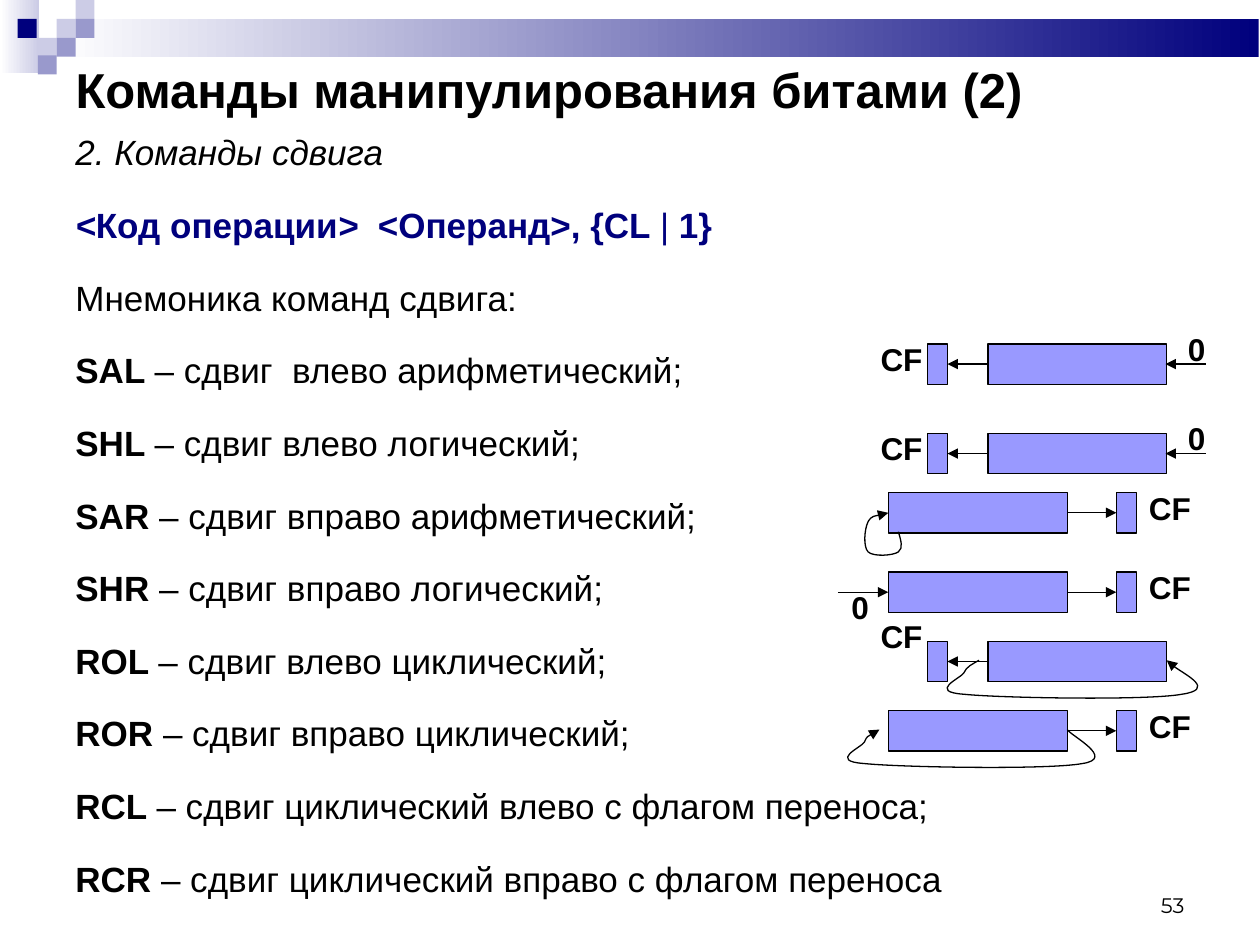
import pptx
import pptx.util
import pptx.dml.color
import pptx.enum.shapes
import pptx.enum.text
import pptx.oxml
from pptx.oxml.ns import qn

PX = 9144  # one px is a hundredth of an inch
BLACK, NAVY, PALE, MID, BLUE = "000000", "00007D", "CCCCE6", "9999CC", "9999FF"
TEXT = pptx.enum.text
RECT = pptx.enum.shapes.MSO_SHAPE.RECTANGLE
STRAIGHT = pptx.enum.shapes.MSO_CONNECTOR.STRAIGHT

COMMANDS = [
    ("SAL", "сдвиг  влево арифметический;"),
    ("SHL", "сдвиг влево логический;"),
    ("SAR", "сдвиг вправо арифметический;"),
    ("SHR", "сдвиг вправо логический;"),
    ("ROL", "сдвиг влево циклический;"),
    ("ROR", "сдвиг вправо циклический;"),
    ("RCL", "сдвиг циклический влево с флагом переноса;"),
    ("RCR", "сдвиг циклический вправо с флагом переноса"),
]
# Bézier points relative to the top left corner of a register
CYCLE = [(-7, 15), (-12, 18), (-17, 20), (-19, 25), (-21, 29), (-48, 40),
         (-19, 42), (10, 45), (127, 47), (154, 42), (181, 38), (145, 20),
         (142, 15)]
SIGN = [(8, 31), (10, 38), (12, 44), (8, 47), (4, 50), (-12, 51), (-16, 47),
        (-20, 43), (-19, 29), (-16, 23), (-13, 18), (-3, 17), (0, 16)]


def emu(*vals):
    return [v * PX for v in vals]


def rgb(code):
    return pptx.dml.color.RGBColor.from_string(code)


def style(run, size, color=BLACK, bold=False, italic=False, face="Arial"):
    font = run.font
    font.name, font.size = face, pptx.util.Pt(size)
    font.bold, font.italic = bold, italic
    font.color.rgb = rgb(color)


def rect(slide, box, fill, edge=False):
    shape = slide.shapes.add_shape(RECT, *emu(*box))
    shape.shadow.inherit = False
    shape.fill.solid()
    shape.fill.fore_color.rgb = rgb(fill)
    if edge:
        shape.line.color.rgb = rgb(BLACK)
        shape.line.width = pptx.util.Pt(0.75)
    else:
        shape.line.fill.background()
    return shape


def fade(slide, box, color):
    """Draw a bar that fades to white on its left."""
    fill = rect(slide, box, color).fill
    fill.gradient()
    fill.gradient_angle = 180
    for stop, code, pos in zip(fill.gradient_stops, (color, "FFFFFF"), (0, 1)):
        stop.color.rgb = rgb(code)
        stop.position = pos


def label(slide, x, y, text, wide):
    frame = slide.shapes.add_textbox(*emu(x, y, wide, 40)).text_frame
    frame.word_wrap = False
    frame.text = text
    style(frame.paragraphs[0].runs[0], 18, bold=True)


def tip(shape):
    """Give a line its colour, width and arrowhead."""
    shape.line.color.rgb = rgb(BLACK)
    shape.line.width = pptx.util.Pt(0.75)
    end = pptx.oxml.parse_xml(
        '<a:tailEnd xmlns:a="http://schemas.openxmlformats.org/drawingml/2006/main"'
        ' type="triangle"/>')
    shape.line._get_or_add_ln().append(end)


def arrow(slide, x1, x2, y):
    line = slide.shapes.add_connector(STRAIGHT, *emu(x1, y, x2, y))
    tip(line)
    props = line._element.spPr
    props.append(props.makeelement(qn("a:effectLst"), {}))


def curve(slide, x, y, path):
    pts = [emu(x + a, y + b) for a, b in path]
    pen = slide.shapes.build_freeform(*pts[0])
    pen.add_line_segments(pts[1:], close=False)
    shape = pen.convert_to_shape()
    shape.shadow.inherit = False
    shape.fill.background()
    tip(shape)
    # every three straight steps become one Bézier step
    track = shape._element.find(".//" + qn("a:path"))
    steps = track.findall(qn("a:lnTo"))
    for i in range(0, len(steps), 3):
        bend = track.makeelement(qn("a:cubicBezTo"), {})
        for step in steps[i:i + 3]:
            bend.append(step[0])
            track.remove(step)
        track.append(bend)


def left(slide, y, zero=False, cycle=False):
    """Draw a left shift: the flag stands before the register."""
    x = 784
    rect(slide, (x, y, 142, 32), BLUE, True)
    rect(slide, (x - 48, y, 16, 32), BLUE, True)
    label(slide, x - 95, y - (24 if cycle else 8), "CF", 53)
    arrow(slide, x, x - 32, y + 16)
    if zero:
        label(slide, x + 149, y - 16, "0", 34)
        arrow(slide, x + 173, x + 141, y + 16)
    if cycle:
        curve(slide, x, y, CYCLE)


def right(slide, y, zero=False, path=None):
    """Draw a right shift: the flag stands after the register."""
    x = 705
    rect(slide, (x, y, 142, 32), BLUE, True)
    rect(slide, (x + 181, y, 16, 32), BLUE, True)
    label(slide, x + 197, y - 8, "CF", 53)
    arrow(slide, x + 142, x + 181, y + 16)
    if zero:
        label(slide, x - 39, y + 8, "0", 34)
        arrow(slide, x - 40, x, y + 16)
    if path:
        curve(slide, x, y, path)


def band(slide):
    fade(slide, (0, 0, 31, 58), PALE)
    fade(slide, (45, 15, 954, 30), NAVY)
    for x, y, color in [(45, 15, PALE), (60, 0, PALE), (60, 15, MID),
                        (30, 30, PALE), (14, 15, NAVY), (45, 30, MID),
                        (30, 44, MID)]:
        rect(slide, (x, y, 15, 15), color)


def head(slide, box, text):
    title = slide.shapes.title
    title.left, title.top, title.width, title.height = emu(*box)
    frame = title.text_frame
    frame.text = text
    frame.auto_size = TEXT.MSO_AUTO_SIZE.NONE
    frame.vertical_anchor = TEXT.MSO_ANCHOR.MIDDLE
    para = frame.paragraphs[0]
    para.alignment = TEXT.PP_ALIGN.LEFT
    style(para.runs[0], 28, bold=True)


def body(slide, box):
    frame = slide.shapes.add_textbox(*emu(*box)).text_frame
    frame.word_wrap = True
    rows = [
        [("2. Команды сдвига", BLACK, False, True)],
        [("<", NAVY, True, True), ("Код операции", NAVY, True),
         (">", NAVY, True, True), ("  <Операнд>, {СL ", NAVY, True),
         ("|", NAVY), (" 1}", NAVY, True)],
        [("Мнемоника команд сдвига:",)],
    ]
    rows += [[(name + " ", BLACK, True), ("– " + note,)] for name, note in COMMANDS]
    for i, row in enumerate(rows):
        para = frame.add_paragraph() if i else frame.paragraphs[0]
        if i:
            para.space_before = pptx.util.Pt(17.5)
        for text, *look in row:
            run = para.add_run()
            run.text = text
            style(run, 20, *look)


def number(slide, box, text):
    frame = slide.shapes.add_textbox(*emu(*box)).text_frame
    frame.word_wrap = True
    frame.vertical_anchor = TEXT.MSO_ANCHOR.BOTTOM
    frame.text = text
    para = frame.paragraphs[0]
    para.alignment = TEXT.PP_ALIGN.RIGHT
    style(para.runs[0], 12, face="Montserrat")


def main():
    deck = pptx.Presentation()
    deck.slide_width, deck.slide_height = emu(1000, 750)
    slide = deck.slides.add_slide(deck.slide_layouts[5])
    band(slide)
    number(slide, (717, 683, 233, 50), "53")
    head(slide, (50, 42, 900, 57), "Команды манипулирования битами (2)")
    body(slide, (50, 99, 900, 622))
    left(slide, 273, zero=True)
    left(slide, 344, zero=True)
    right(slide, 391, path=SIGN)
    right(slide, 454, zero=True)
    left(slide, 509, cycle=True)
    right(slide, 564, path=CYCLE[::-1])
    deck.save("out.pptx")


if __name__ == "__main__":
    main()
